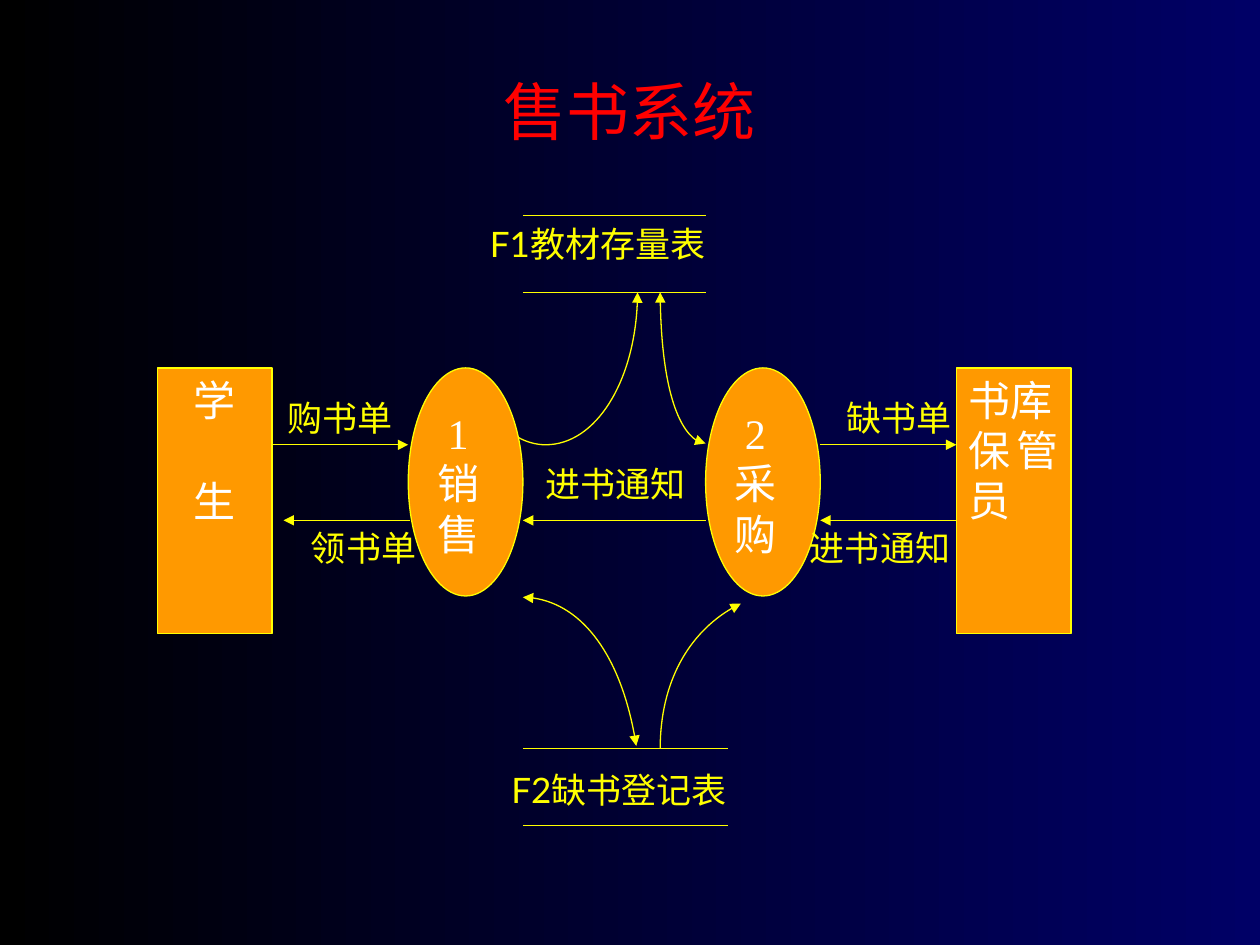
from dataclasses import dataclass

from lxml.etree import SubElement
from pptx import Presentation
from pptx.dml.color import RGBColor as RGB
from pptx.enum.shapes import MSO_CONNECTOR as Link, MSO_SHAPE as Shape
from pptx.enum.text import MSO_ANCHOR as Anchor, PP_ALIGN as Align
from pptx.oxml.ns import qn
from pptx.util import Inches, Pt


@dataclass(frozen=True)
class Theme:
    """Colours, fonts and sizes of the diagram."""
    night: RGB = RGB(0x00, 0x00, 0x66)
    black: RGB = RGB(0x00, 0x00, 0x00)
    red: RGB = RGB(0xFF, 0x00, 0x00)
    yellow: RGB = RGB(0xFF, 0xFF, 0x00)
    orange: RGB = RGB(0xFF, 0x99, 0x00)
    white: RGB = RGB(0xFF, 0xFF, 0xFF)
    serif: str = "Times New Roman"
    sans: str = "Lato"
    title: int = 36
    node: int = 24
    label: int = 20
    stroke: float = 0.75


THEME = Theme()


def write(frame, text, *, size=THEME.label, color=THEME.yellow, align=Align.LEFT,
          anchor=Anchor.TOP, wrap=True, gap=0, code=""):
    """Fill a text frame, one paragraph per line, after an optional store code."""
    frame.word_wrap = wrap
    frame.vertical_anchor = anchor
    for index, line in enumerate(text.split("\n")):
        paragraph = frame.add_paragraph() if index else frame.paragraphs[0]
        paragraph.alignment = align
        if index and gap:
            paragraph.space_before = Pt(gap)
        for words, face in ((code, THEME.sans), (line, THEME.serif)):
            if words:
                run = paragraph.add_run()
                run.text = words
                run.font.name = face
                run.font.size = Pt(size)
                run.font.color.rgb = color


def add_label(slide, text, left, top, width=1.6, height=0.45, **style):
    """Place free-standing text."""
    box = slide.shapes.add_textbox(*map(Inches, (left, top, width, height)))
    write(box.text_frame, text, **style)


def style_line(line, head=False, tail=False):
    """Give a line the diagram stroke and its arrowheads."""
    line.color.rgb = THEME.yellow
    line.width = Pt(THEME.stroke)
    stroke = line._get_or_add_ln()
    for tag, wanted in (("a:headEnd", head), ("a:tailEnd", tail)):
        if wanted:
            SubElement(stroke, qn(tag), type="triangle")


def add_line(slide, start, end, tail=False):
    """Draw a straight line or a data flow."""
    flow = slide.shapes.add_connector(Link.STRAIGHT, *map(Inches, start + end))
    style_line(flow.line, tail=tail)
    SubElement(flow._element.spPr, qn("a:effectLst"))


def add_curve(slide, points, head=False, tail=False):
    """Draw Bezier arcs through a start point and triples of control points."""
    start, *controls = [tuple(map(Inches, point)) for point in points]
    builder = slide.shapes.build_freeform(*start)
    builder.add_line_segments(controls, close=False)
    arc = builder.convert_to_shape()
    arc.shadow.inherit = False
    arc.fill.background()
    style_line(arc.line, head, tail)
    for track in arc._element.iter(qn("a:path")):
        segments = track.findall(qn("a:lnTo"))
        for first in range(0, len(segments), 3):
            bezier = SubElement(track, qn("a:cubicBezTo"))
            for segment in segments[first:first + 3]:
                bezier.append(segment[0])
                track.remove(segment)


def add_node(slide, kind, text, left, height, inset=0.1, **style):
    """Draw an external entity or a process."""
    node = slide.shapes.add_shape(kind, *map(Inches, (left, 2.92, 0.91, height)))
    node.shadow.inherit = False
    node.fill.solid()
    node.fill.fore_color.rgb = THEME.orange
    style_line(node.line)
    node.text_frame.margin_left = Inches(inset)
    node.text_frame.margin_right = Inches(0.2 - inset)
    write(node.text_frame, text, size=THEME.node, color=THEME.white, **style)


def add_store(slide, code, name, label_at, top, right):
    """Draw a data store between two rules."""
    for y in (top, top + 0.61):
        add_line(slide, (4.15, y), (right, y))
    add_label(slide, name, *label_at, width=2.04, code=code, wrap=False)


def paint_background(slide):
    """Fade the background from black to night blue."""
    fill = slide.background.fill
    fill.gradient()
    fill.gradient_angle = 180
    for stop, color, position in zip(fill.gradient_stops, (THEME.night, THEME.black), (0, 1)):
        stop.color.rgb = color
        stop.position = position


def main():
    """Build the bookselling data-flow slide."""
    deck = Presentation()
    deck.slide_width, deck.slide_height = Inches(10), Inches(7.5)
    slide = deck.slides.add_slide(deck.slide_layouts[6])
    paint_background(slide)
    add_label(slide, "售书系统", 0.75, 0.25, 8.5, 1.25, size=THEME.title,
              color=THEME.red, align=Align.CENTER, anchor=Anchor.MIDDLE)

    add_curve(slide, [(4.15, 4.74), (4.59, 4.74), (4.95, 5.25), (5.05, 5.92)], True, True)
    add_curve(slide, [(5.6, 3.52), (5.4, 3.52), (5.24, 2.98), (5.24, 2.32)], True, True)
    add_curve(slide, [(4.11, 3.47), (4.18, 3.51), (4.26, 3.53), (4.33, 3.53),
                      (4.73, 3.53), (5.06, 2.99), (5.06, 2.32)], tail=True)
    add_curve(slide, [(5.88, 4.79), (5.5, 4.97), (5.24, 5.41), (5.24, 5.94)], head=True)

    add_node(slide, Shape.RECTANGLE, "学\n生", 1.25, 2.11, align=Align.CENTER, gap=29)
    add_node(slide, Shape.RECTANGLE, "书库\n保管员", 7.59, 2.11, align=Align.JUSTIFY)
    for process, left in (("1\n销售", 3.24), ("2\n采购", 5.6)):
        add_node(slide, Shape.OVAL, process, left, 1.81, inset=0.04, align=Align.CENTER)

    for source, target, y in ((2.16, 3.24, 3.53), (6.51, 7.59, 3.53), (3.25, 2.25, 4.13),
                              (5.6, 4.15, 4.13), (7.59, 6.51, 4.13)):
        add_line(slide, (source, y), (target, y), tail=True)
    for flow, left, top in (("购书单", 2.18, 3.1), ("缺书单", 6.62, 3.1), ("进书通知", 4.23, 3.62),
                            ("领书单", 2.37, 4.13), ("进书通知", 6.33, 4.13)):
        add_label(slide, flow, left, top, wrap=False)

    add_store(slide, "F1", "教材存量表", (3.79, 1.72), 1.71, 5.6)
    add_store(slide, "F2", "缺书登记表", (3.96, 6.05), 5.94, 5.78)
    deck.save("out.pptx")


if __name__ == "__main__":
    main()
